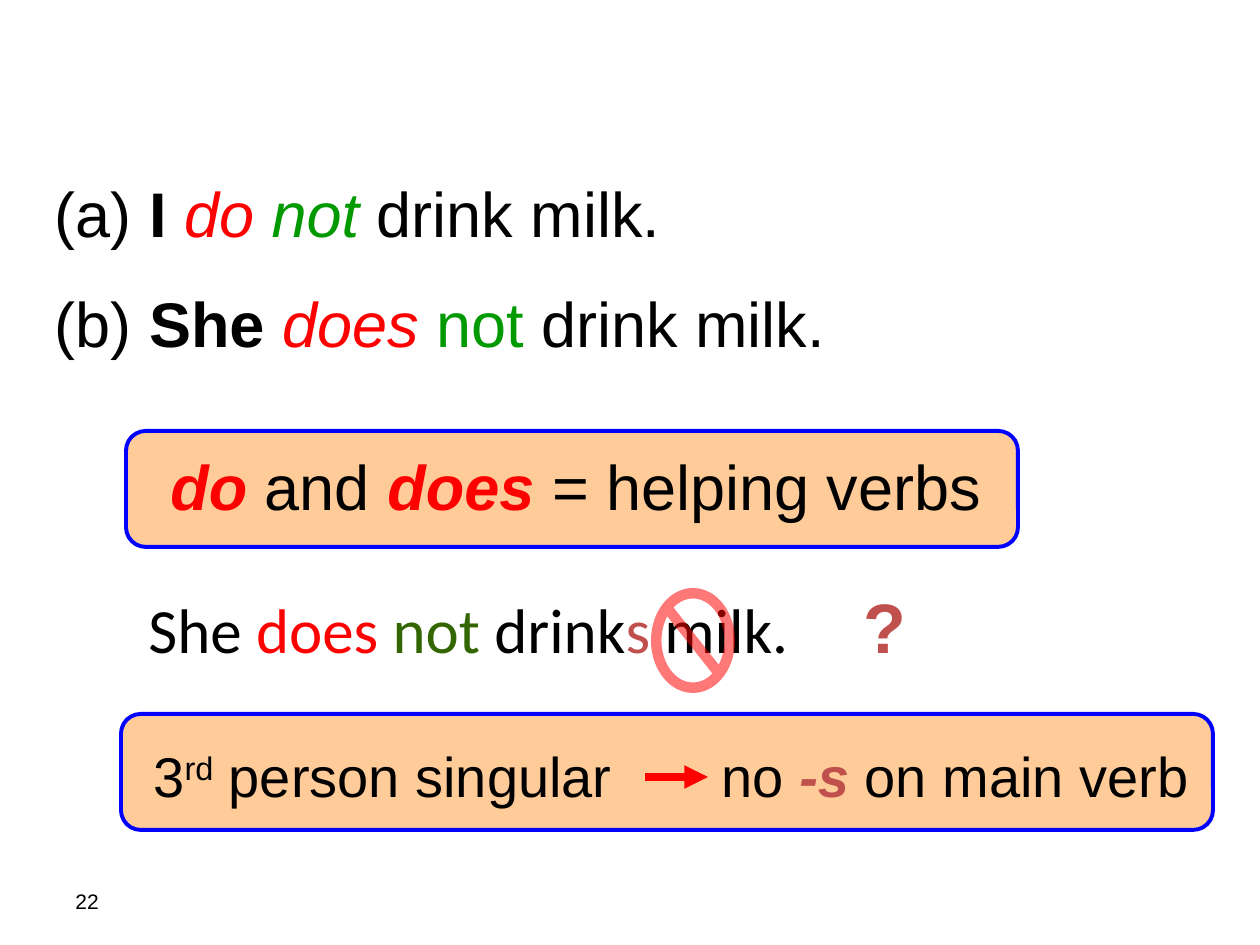
import pptx
import pptx.util
import pptx.dml.color
import pptx.enum.shapes
import pptx.enum.text
import pptx.oxml.ns
from lxml import etree

PX = 914400 // 126
SHAPE = pptx.enum.shapes.MSO_SHAPE
ANCHOR = pptx.enum.text.MSO_ANCHOR
BLACK, RED, GREEN, DARK_GREEN, BRICK = "000000", "FF0000", "009900", "336600", "C0504D"
qn = pptx.oxml.ns.qn


def rgb(value):
    return pptx.dml.color.RGBColor.from_string(value)


def add_runs(p, size, font, runs):
    """Each run is (text, colour, format values)."""
    for text, color, fmt in runs:
        r = p.add_run()
        r.text = text
        r.font.color.rgb = rgb(color)
        values = {"size": pptx.util.Pt(size), "name": font, "bold": False, "italic": False}
        for key, value in (values | fmt).items():
            setattr(r.font, key, value)


prs = pptx.Presentation()
prs.slide_width, prs.slide_height = 1260 * PX, 945 * PX
s = prs.slides.add_slide(prs.slide_layouts[1])
title = s.shapes.title
title.element.getparent().remove(title.element)

B, I, BI = {"bold": True}, {"italic": True}, {"bold": True, "italic": True}

# Rule boxes
for box in [(121, 714, 1092, 116), (126, 431, 892, 116)]:
    sp = s.shapes.add_shape(SHAPE.ROUNDED_RECTANGLE, *(v * PX for v in box))
    sp.adjustments[0] = 0.17
    sp.shadow.inherit = False
    sp.fill.solid()
    sp.fill.fore_color.rgb = rgb("FFCC99")
    sp.line.color.rgb = rgb("0000FF")
    sp.line.width = pptx.util.Pt(2.25)

# Single-line texts: box, size, font, wrap, anchor, runs
texts = [
    ((63, 876, 294, 50), 12, "Arial", True, ANCHOR.MIDDLE, [("22", BLACK, {})]),
    ((136, 599, 955, 73), 36, "Calibri", True, ANCHOR.TOP,
     [("She ", BLACK, {}), ("does", RED, {}), (" not", DARK_GREEN, {}),
      (" drink", BLACK, {}), ("s", BRICK, {}), (" milk.", BLACK, {})]),
    ((141, 735, 1071, 79), 32, "Arial", True, ANCHOR.TOP,
     [("3", BLACK, {}), ("rd", BLACK, {}), (" person singular", BLACK, {}),
      ("\tno ", BLACK, {}), ("-s", BRICK, BI), (" on main verb", BLACK, {})]),
    ((158, 441, 851, 88), 36, "Arial", True, ANCHOR.TOP,
     [("do ", RED, BI), ("and ", BLACK, {}), ("does ", RED, BI),
      ("= helping verbs", BLACK, {})]),
    ((851, 577, 68, 97), 40, "Arial", False, ANCHOR.TOP, [("?", BRICK, B)]),
]
for box, size, font, wrap, anchor, runs in texts:
    tf = s.shapes.add_textbox(*(v * PX for v in box)).text_frame
    tf.word_wrap = wrap
    tf.vertical_anchor = anchor
    p = tf.paragraphs[0]
    if font == "Calibri":
        p.line_spacing = 0.8
    if runs[0][0] == "3":
        # The tab leaves room for the arrow
        tabs = etree.SubElement(p._p.get_or_add_pPr(), qn("a:tabLst"))
        etree.SubElement(tabs, qn("a:tab"), pos=str(568 * PX), algn="l")
    add_runs(p, size, font, runs)
    for r in p.runs:
        if r.text == "rd":
            r.font._element.set("baseline", "30000")

# Arrow
line = s.shapes.add_connector(pptx.enum.shapes.MSO_CONNECTOR.STRAIGHT,
                              645 * PX, 777 * PX, 708 * PX, 777 * PX)
line.line.color.rgb = rgb(RED)
line.line.width = pptx.util.Pt(4.5)
etree.SubElement(line.line._get_or_add_ln(), qn("a:tailEnd"), type="triangle")
etree.SubElement(line._element.spPr, qn("a:effectLst"))

# Prohibition sign over the wrong form
sp = s.shapes.add_shape(SHAPE.NO_SYMBOL, 651 * PX, 588 * PX, 84 * PX, 105 * PX)
sp.adjustments[0] = 0.125
sp.shadow.inherit = False
sp.fill.solid()
sp.fill.fore_color.rgb = rgb(RED)
sp.line.fill.background()
color = sp._element.spPr.find(".//" + qn("a:srgbClr"))
etree.SubElement(color, qn("a:alpha"), val="53000")

# Lettered example sentences
body = s.placeholders[1]
body.left, body.top, body.width, body.height = (v * PX for v in (42, 168, 829, 202))
tf = body.text_frame
tf.word_wrap = True
tf.auto_size = pptx.enum.text.MSO_AUTO_SIZE.NONE
tf.vertical_anchor = ANCHOR.TOP
examples = [
    [(" ", BLACK, {}), ("I ", BLACK, B), ("do ", RED, I), ("not", GREEN, I),
     (" drink milk.", BLACK, {})],
    [(" ", BLACK, {}), ("She ", BLACK, B), ("does ", RED, I), ("not", GREEN, {}),
     (" drink milk.", BLACK, {})],
]
for i, runs in enumerate(examples):
    p = tf.add_paragraph() if i else tf.paragraphs[0]
    p.space_before = pptx.util.Pt(20 * i)
    pPr = p._p.get_or_add_pPr()
    pPr.set("marL", str(48 * PX))
    pPr.set("indent", str(-48 * PX))
    etree.SubElement(pPr, qn("a:buFont"), typeface="Arial")
    etree.SubElement(pPr, qn("a:buAutoNum"), type="alphaLcParenBoth")
    add_runs(p, 36, "Arial", runs)

prs.save("out.pptx")
